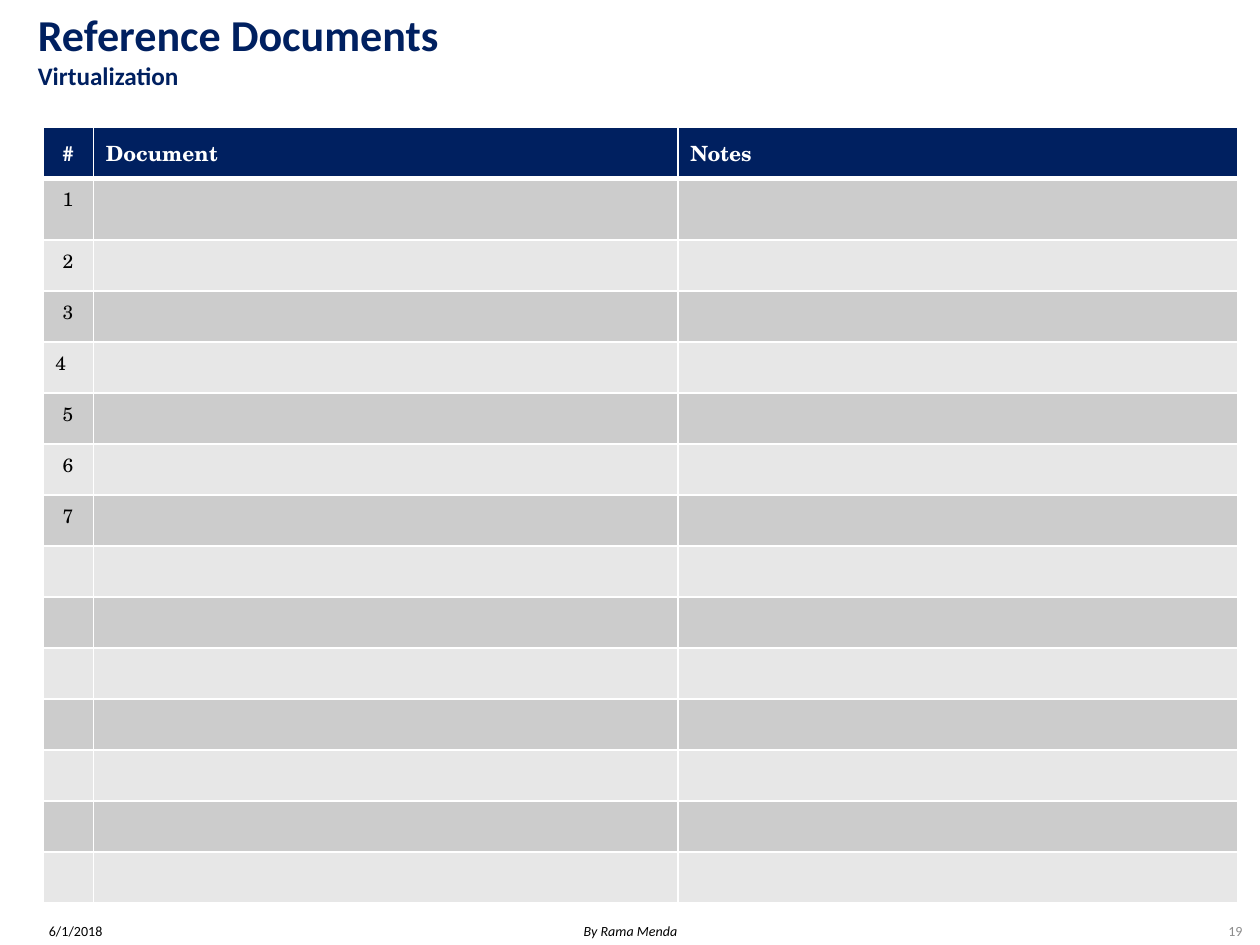
from lxml import etree
from pptx import Presentation
from pptx.dml.color import RGBColor
from pptx.enum.text import MSO_ANCHOR, MSO_AUTO_SIZE, PP_ALIGN
from pptx.oxml.ns import qn
from pptx.util import Inches, Pt

LEFT, CENTER, RIGHT = PP_ALIGN.LEFT, PP_ALIGN.CENTER, PP_ALIGN.RIGHT
TOP, MIDDLE = MSO_ANCHOR.TOP, MSO_ANCHOR.MIDDLE
NO_AUTOFIT = MSO_AUTO_SIZE.NONE

NAVY, WHITE, BLACK, GRAY = "002060", "FFFFFF", "000000", "8C8C8C"
BANDS = ["CCCCCC", "E7E7E7"]
SANS, SERIF = "Calibri", "TeX Gyre Schola"

TITLE_LINES = [("Reference Documents", 25.2), ("Virtualization", 14.4)]
HEADINGS = ["#", "Document", "Notes"]
NUMBERS = ["1", "2", "3", "4", "5", "6", "7"]
LEFT_ALIGNED_NUMBER = "4"
BODY_ROWS = 14
COLUMN_WIDTHS = [0.4, 4.64, 4.44]
ROW_HEIGHT, FIRST_ROW_HEIGHT = 0.405, 0.49
TABLE_LEFT, TABLE_TOP = 0.34, 1.01
FOOTER_TOP, FOOTER_HEIGHT = 7.31, 0.15
FOOTERS = [
    ("6/1/2018", 0.29, 2.33, LEFT, BLACK, False),
    ("19", 9.46, 0.5, RIGHT, GRAY, False),
    ("By Rama Menda", 3.42, 3.17, CENTER, BLACK, True),
]


def rgb(color):
    """Turn a hex string into a colour."""
    return RGBColor.from_string(color)


def style(paragraph, face, size, color, align=LEFT, bold=False, italic=False):
    """Set the alignment and font of a paragraph."""
    paragraph.alignment = align
    font = paragraph.font
    font.name, font.size = face, Pt(size)
    font.bold, font.italic = bold, italic
    font.color.rgb = rgb(color)


def add_borders(cell, **widths):
    """Draw white cell borders with the given widths in points."""
    properties = cell._tc.get_or_add_tcPr()
    for position, side in enumerate("LRTB"):
        line = etree.Element(qn(f"a:ln{side}"), w=str(Pt(widths.get(side, 1))))
        fill = etree.SubElement(line, qn("a:solidFill"))
        etree.SubElement(fill, qn("a:srgbClr"), val=WHITE)
        properties.insert(position, line)


def add_title(slide):
    """Fill the title placeholder with the heading and its subject."""
    title = slide.shapes.title
    title.left, title.top = Inches(0.2), Inches(0.04)
    title.width, title.height = Inches(9.55), Inches(0.69)
    frame = title.text_frame
    frame.text = "\n".join(text for text, _ in TITLE_LINES)
    frame.auto_size, frame.vertical_anchor = NO_AUTOFIT, MIDDLE
    for paragraph, (_, size) in zip(frame.paragraphs, TITLE_LINES):
        style(paragraph, SANS, size, NAVY, bold=True)


def add_documents(slide):
    """Add the numbered document table."""
    heights = [ROW_HEIGHT, FIRST_ROW_HEIGHT] + [ROW_HEIGHT] * (BODY_ROWS - 1)
    table = slide.shapes.add_table(
        len(heights), len(HEADINGS), Inches(TABLE_LEFT), Inches(TABLE_TOP),
        Inches(sum(COLUMN_WIDTHS)), Inches(sum(heights))).table
    for column, width in zip(table.columns, COLUMN_WIDTHS):
        column.width = Inches(width)
    for r, height in enumerate(heights):
        table.rows[r].height = Inches(height)
        header = r == 0
        number = NUMBERS[r - 1] if 1 <= r <= len(NUMBERS) else ""
        texts = HEADINGS if header else [number, "", ""]
        for c, text in enumerate(texts):
            cell = table.cell(r, c)
            cell.text = text
            cell.vertical_anchor = MIDDLE if header else TOP
            cell.fill.solid()
            cell.fill.fore_color.rgb = rgb(NAVY if header else BANDS[(r - 1) % 2])
            centered = c == 0 and text != LEFT_ALIGNED_NUMBER
            style(cell.text_frame.paragraphs[0], SERIF, 12 if header else 11,
                  WHITE if header else BLACK, CENTER if centered else LEFT, header)
            add_borders(cell, T=3 if r == 1 else 1, B=3 if header else 1)


def add_footer(slide, text, left, width, align, color, italic):
    """Add one footer text."""
    frame = slide.shapes.add_textbox(
        Inches(left), Inches(FOOTER_TOP), Inches(width), Inches(FOOTER_HEIGHT)).text_frame
    frame.word_wrap, frame.vertical_anchor = True, MIDDLE
    frame.margin_top = frame.margin_bottom = 0
    frame.text = text
    style(frame.paragraphs[0], SANS, 8, color, align, italic=italic)


def main():
    """Build and save the slide."""
    deck = Presentation()
    deck.slide_width, deck.slide_height = Inches(10), Inches(7.5)
    slide = deck.slides.add_slide(deck.slide_layouts[5])
    add_title(slide)
    add_documents(slide)
    for footer in FOOTERS:
        add_footer(slide, *footer)
    deck.save("out.pptx")


if __name__ == "__main__":
    main()
